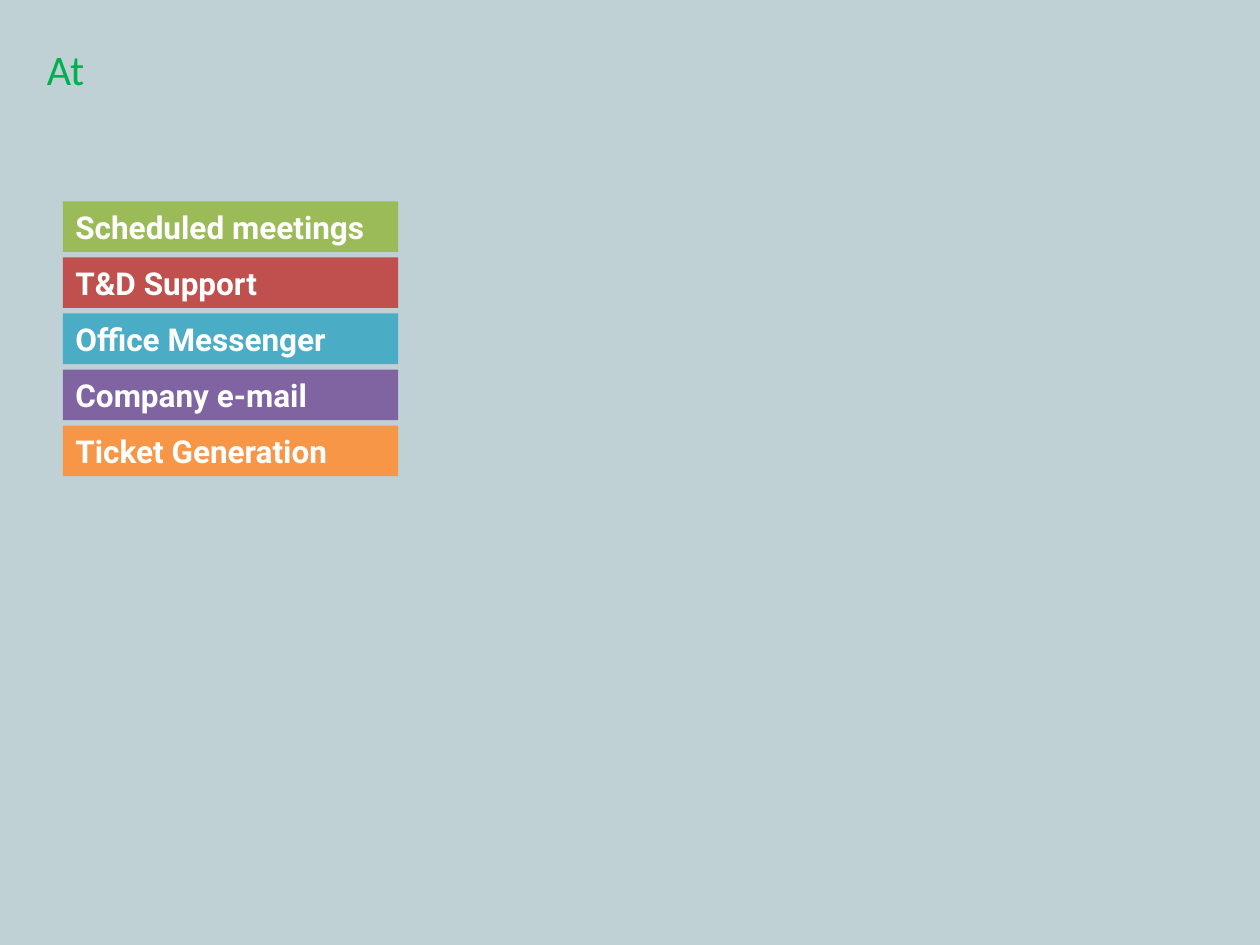
"""Build a slide listing the support channels as coloured bars."""
from dataclasses import dataclass

from pptx import Presentation
from pptx.dml.color import RGBColor as RGB
from pptx.enum.shapes import MSO_SHAPE as Shape
from pptx.enum.text import MSO_ANCHOR as Anchor, PP_ALIGN as Align
from pptx.util import Cm, Pt


@dataclass(frozen=True)
class Theme:
    back: str = "BFD1D5"
    title: str = "00B050"
    label: str = "FFFFFF"
    title_font: str = "Calibri"
    label_font: str = "Roboto"
    title_size: int = 24
    label_size: int = 18


THEME = Theme()
BARS = [
    ("Scheduled meetings", "9BBB59"),
    ("T&D Support", "C0504D"),
    ("Office Messenger", "4BACC6"),
    ("Company e-mail", "8064A2"),
    ("Ticket Generation", "F79646"),
]
LEFT, TOP, WIDTH, HEIGHT, PITCH = 1.27, 4.06, 6.76, 1.02, 1.13


def set_text(frame, text, name, size, color, bold=False):
    frame.text = text
    frame.vertical_anchor = Anchor.TOP
    para = frame.paragraphs[0]
    para.alignment = Align.LEFT
    font = para.runs[0].font
    font.name, font.size, font.bold = name, Pt(size), bold
    font.color.rgb = RGB.from_string(color)


def set_title(slide, text):
    title = slide.shapes.title
    title.left, title.top = Cm(0.69), Cm(0.74)
    title.width, title.height = Cm(1.27), Cm(1.27)
    set_text(title.text_frame, text, THEME.title_font, THEME.title_size, THEME.title)
    title.text_frame.word_wrap = False


def add_bar(slide, row, text, color):
    bar = slide.shapes.add_shape(
        Shape.RECTANGLE, Cm(LEFT), Cm(TOP + row * PITCH), Cm(WIDTH), Cm(HEIGHT)
    )
    bar.shadow.inherit = False
    bar.fill.solid()
    bar.fill.fore_color.rgb = RGB.from_string(color)
    bar.line.fill.background()
    frame = bar.text_frame
    frame.word_wrap = True
    set_text(frame, text, THEME.label_font, THEME.label_size, THEME.label, True)


def main():
    deck = Presentation()
    deck.slide_width, deck.slide_height = Cm(25.4), Cm(19.05)
    slide = deck.slides.add_slide(deck.slide_layouts.get_by_name("Title Only"))
    back = slide.background.fill
    back.solid()
    back.fore_color.rgb = RGB.from_string(THEME.back)
    for row, (text, color) in enumerate(BARS):
        add_bar(slide, row, text, color)
    set_title(slide, "At")
    deck.save("out.pptx")


if __name__ == "__main__":
    main()
